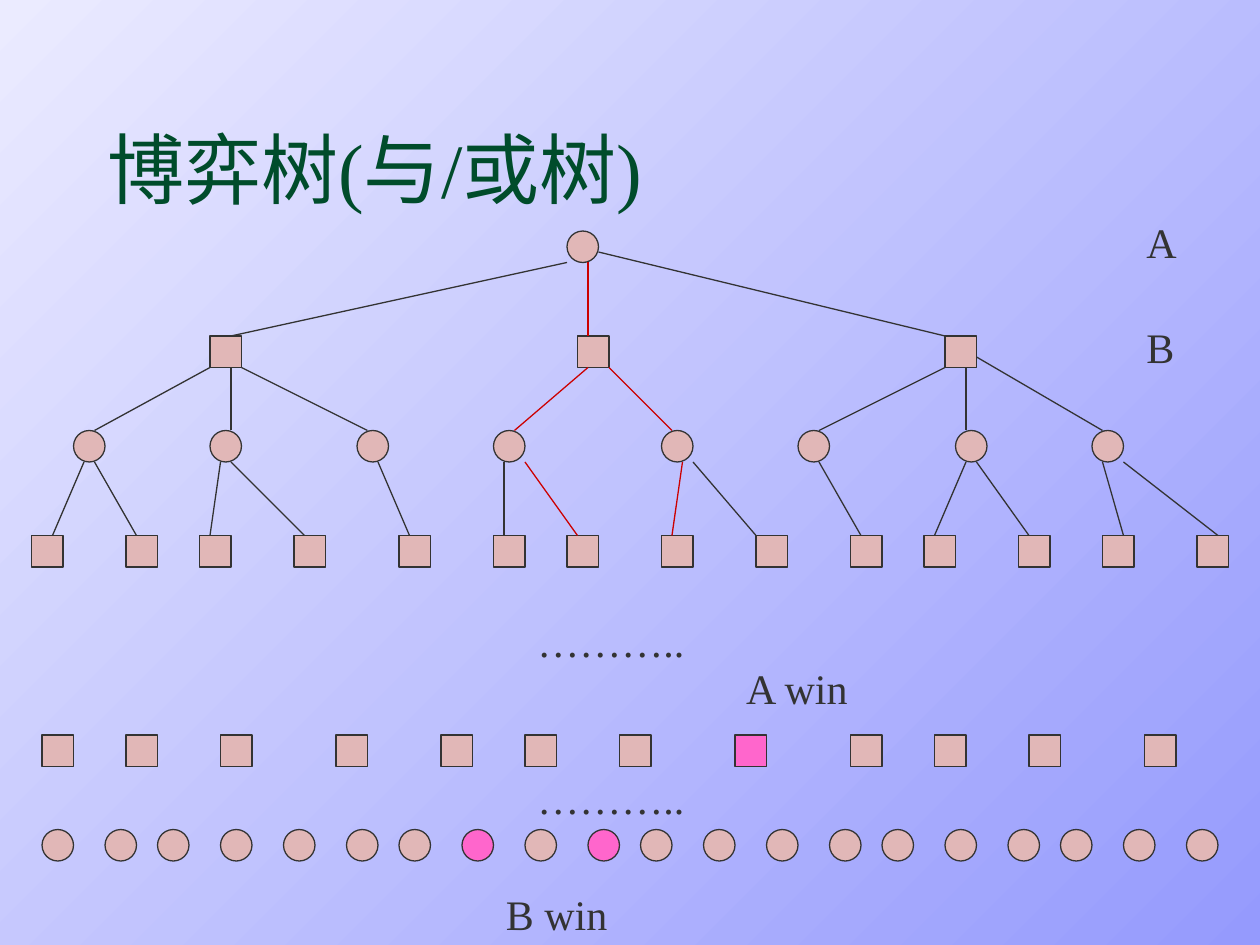
from lxml import etree
from pptx import Presentation
from pptx.dml.color import RGBColor
from pptx.enum.shapes import MSO_CONNECTOR, MSO_SHAPE
from pptx.enum.text import MSO_ANCHOR, MSO_AUTO_SIZE, PP_ALIGN
from pptx.oxml.ns import qn
from pptx.util import Emu, Pt

BOX, DISC = MSO_SHAPE.RECTANGLE, MSO_SHAPE.OVAL
LINE = MSO_CONNECTOR.STRAIGHT
LEFT, BOTTOM = PP_ALIGN.LEFT, MSO_ANCHOR.BOTTOM
GROW, FIXED = MSO_AUTO_SIZE.SHAPE_TO_FIT_TEXT, MSO_AUTO_SIZE.NONE

PX = 9525    # EMU in one px, 96 px to the inch
STEP = 8     # px in one grid step; the tree lies on this grid
NODE = 3     # node side in steps
FONT = "Times New Roman"
INK, RED, GREEN = "333333", "CC0000", "004C2B"
ROSE, PINK = "E1B7B7", "FF66CC"

TITLE = "博弈树(与/或树)"

# Rows of nodes in grid steps: shape, top, lefts, lefts of winning nodes
ROWS = [
    (DISC, 22, [54], []),
    (BOX, 32, [20, 55, 90], []),
    (DISC, 41, [7, 20, 34, 47, 63, 76, 91, 104], []),
    (BOX, 51, [3, 12, 19, 28, 38, 47, 54, 63, 72, 81, 88, 97, 105, 114], []),
    (DISC, 79, [4, 10, 15, 21, 27, 33, 38, 44, 50, 56,
                61, 67, 73, 79, 84, 90, 96, 101, 107, 113], [44, 56]),
    (BOX, 70, [4, 12, 21, 32, 42, 50, 59, 70, 81, 89, 98, 109], [70]),
]

# Branches in grid steps: (x1, y1, x2, y2)
BLACK = [
    (54, 25, 22, 32), (57, 24, 90, 32),
    (20, 35, 9, 41), (22, 35, 22, 41), (23, 35, 35, 41),
    (90, 35, 78, 41), (92, 35, 92, 41), (93, 34, 105, 41),
    (8, 44, 5, 51), (9, 44, 13, 51), (21, 44, 20, 51), (22, 44, 29, 51),
    (36, 44, 39, 51), (48, 44, 48, 51), (66, 44, 72, 51), (78, 44, 82, 51),
    (92, 44, 89, 51), (93, 44, 98, 51), (105, 44, 107, 51),
    (107, 44, 116, 51),
]
CHOSEN = [
    (56, 25, 56, 32), (56, 35, 49, 41), (58, 35, 64, 41),
    (50, 44, 55, 51), (65, 44, 64, 51),
]

# Labels in px: text, left, top, width
LABELS = [
    ("A", 864, 160, 42), ("B", 864, 240, 40),
    ("………..", 400, 464, 132), ("………..", 400, 584, 132),
    ("A win", 559, 500, 99), ("B win", 376, 672, 97),
]


def px(*vals):
    return [Emu(v * PX) for v in vals]


def grid(*vals):
    return px(*(v * STEP for v in vals))


def rgb(code):
    return RGBColor.from_string(code)


def write(shape, text, size=24, color=INK, wrap=False, fit=GROW):
    frame = shape.text_frame
    frame.word_wrap, frame.auto_size = wrap, fit
    par = frame.paragraphs[0]
    par.alignment = LEFT
    run = par.add_run()
    run.text = text
    run.font.name, run.font.size = FONT, Pt(size)
    run.font.color.rgb = rgb(color)


def stroke(item, color):
    item.line.color.rgb = rgb(color)
    item.line.width = Pt(0.75)


def node(kind, left, top, color):
    shape = slide.shapes.add_shape(kind, *grid(left, top, NODE, NODE))
    shape.shadow.inherit = False
    shape.fill.solid()
    shape.fill.fore_color.rgb = rgb(color)
    stroke(shape, INK)


def branch(ends, color):
    line = slide.shapes.add_connector(LINE, *grid(*ends))
    stroke(line, color)
    etree.SubElement(line._element.spPr, qn("a:effectLst"))


prs = Presentation()
prs.slide_width, prs.slide_height = px(960, 720)
slide = prs.slides.add_slide(prs.slide_layouts[5])

# Background
fill = slide.background.fill
fill.gradient()
fill.gradient_angle = 315
for stop, code in zip(fill.gradient_stops, ("EBEBFF", "959AFD")):
    stop.color.rgb = rgb(code)

# Title
title = slide.shapes.title
title.left, title.top, title.width, title.height = px(72, 48, 816, 120)
title.text_frame.vertical_anchor = BOTTOM
write(title, TITLE, size=44, color=GREEN, wrap=True, fit=FIXED)

# Nodes
for kind, top, lefts, wins in ROWS:
    for left in lefts:
        node(kind, left, top, PINK if left in wins else ROSE)

# Branches
for group, color in ((BLACK, INK), (CHOSEN, RED)):
    for ends in group:
        branch(ends, color)

# Labels
for text, left, top, width in LABELS:
    write(slide.shapes.add_textbox(*px(left, top, width, 48)), text)

prs.save("out.pptx")
